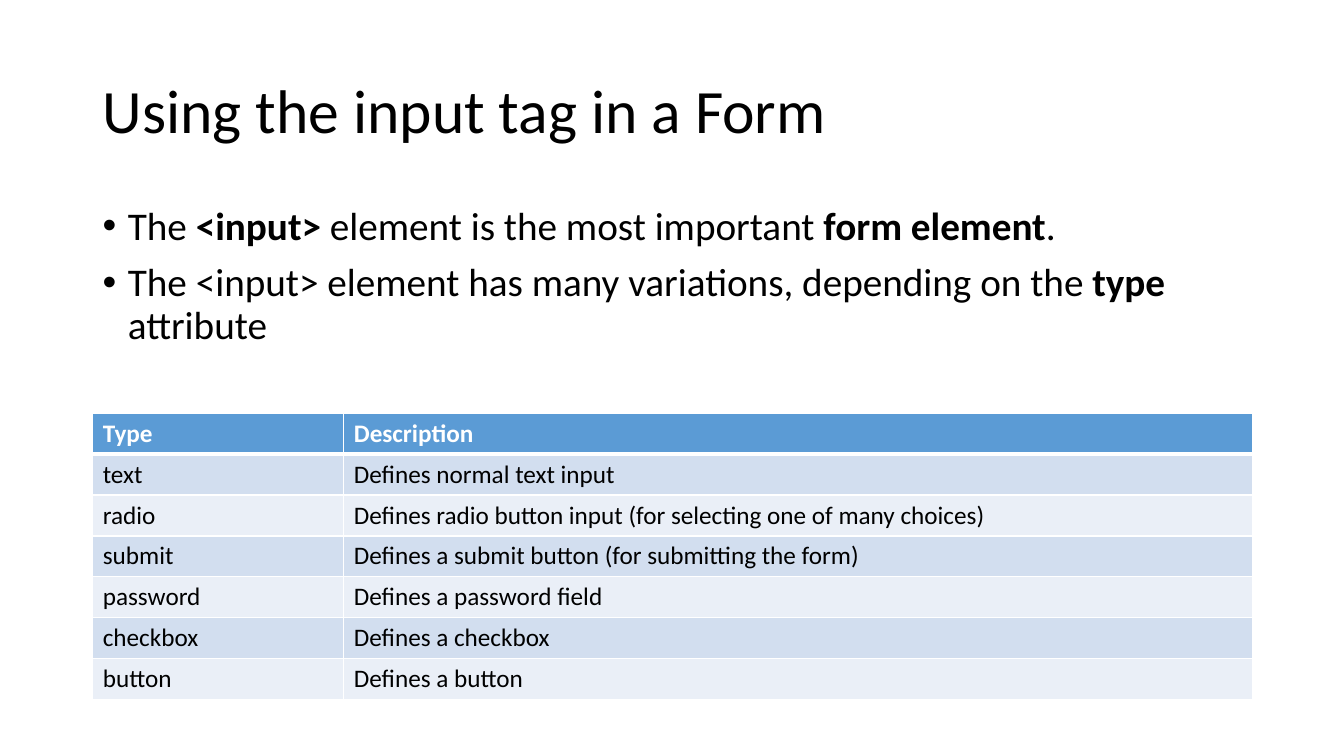
from lxml import etree
from pptx import Presentation
from pptx.dml.color import RGBColor
from pptx.enum import text
from pptx.oxml import ns
from pptx.util import Inches, Pt

COLORS = {
    "text": "000000",
    "white": "FFFFFF",
    "header": "5B9BD5",
    "odd_row": "D2DEEF",
    "even_row": "EAEFF7",
}
FONT = "Calibri"
LEFT, WIDTH = 0.92, 11.5
COLUMN_WIDTHS = (2.49, 9.01)
ROW_HEIGHT = 2.84 / 7

# Each bullet is a list of (words, bold) runs
BULLETS = [
    [("The ", False), ("<input>", True), (" element is the most important ", False),
     ("form element", True), (".", False)],
    [("The <input> element has many variations, depending on the ", False),
     ("type", True), (" attribute", False)],
]
INPUT_TYPES = [
    ("Type", "Description"),
    ("text", "Defines normal text input"),
    ("radio", "Defines radio button input (for selecting one of many choices)"),
    ("submit", "Defines a submit button (for submitting the form)"),
    ("password", "Defines a password field"),
    ("checkbox", "Defines a checkbox"),
    ("button", "Defines a button"),
]


def apply_format(target, values):
    for name, value in values.items():
        setattr(target, name, value)


def add_run(paragraph, words, size, color="text", bold=False):
    run = paragraph.add_run()
    run.text = words
    apply_format(run.font, {"name": FONT, "size": Pt(size), "bold": bold})
    run.font.color.rgb = RGBColor.from_string(COLORS[color])


def add_title(slide, words):
    title = slide.shapes.title
    apply_format(title, {"left": Inches(LEFT), "top": Inches(0.4),
                         "width": Inches(WIDTH), "height": Inches(1.45)})
    apply_format(title.text_frame, {"word_wrap": True,
                                    "auto_size": text.MSO_AUTO_SIZE.NONE,
                                    "vertical_anchor": text.MSO_ANCHOR.MIDDLE})
    paragraph = title.text_frame.paragraphs[0]
    apply_format(paragraph, {"alignment": text.PP_ALIGN.LEFT, "line_spacing": 0.9})
    add_run(paragraph, words, 44)


def set_bullet(paragraph):
    properties = paragraph._p.get_or_add_pPr()
    properties.set("marL", str(Inches(0.25)))
    properties.set("indent", str(Inches(-0.25)))
    etree.SubElement(properties, ns.qn("a:buFont"), typeface="Arial")
    etree.SubElement(properties, ns.qn("a:buChar"), char="•")


def add_bullets(slide, bullets):
    box = slide.shapes.add_textbox(Inches(LEFT), Inches(2), Inches(WIDTH), Inches(1.69))
    frame = box.text_frame
    frame.word_wrap = True
    for index, runs in enumerate(bullets):
        paragraph = frame.add_paragraph() if index else frame.paragraphs[0]
        apply_format(paragraph, {"line_spacing": 0.9, "space_before": Pt(10)})
        set_bullet(paragraph)
        for words, bold in runs:
            add_run(paragraph, words, 28, bold=bold)


def set_borders(cell, widths):
    properties = cell._tc.get_or_add_tcPr()
    for side, width in widths.items():
        line = etree.SubElement(properties, ns.qn(f"a:ln{side}"), w=str(Pt(width)))
        fill = etree.SubElement(line, ns.qn("a:solidFill"))
        etree.SubElement(fill, ns.qn("a:srgbClr"), val=COLORS["white"])


def add_type_table(slide, rows):
    table = slide.shapes.add_table(
        len(rows), len(COLUMN_WIDTHS), Inches(LEFT), Inches(4.1),
        Inches(WIDTH), Inches(ROW_HEIGHT * len(rows))).table
    for column, width in zip(table.columns, COLUMN_WIDTHS):
        column.width = Inches(width)
    for row_index, row in enumerate(rows):
        table.rows[row_index].height = Inches(ROW_HEIGHT)
        header = row_index == 0
        fill = "header" if header else "odd_row" if row_index % 2 else "even_row"
        for column_index, words in enumerate(row):
            cell = table.cell(row_index, column_index)
            # The rule under the header is thicker than the others
            set_borders(cell, {"L": 1, "R": 1, "T": 3 if row_index == 1 else 1,
                               "B": 3 if header else 1})
            cell.fill.solid()
            cell.fill.fore_color.rgb = RGBColor.from_string(COLORS[fill])
            add_run(cell.text_frame.paragraphs[0], words, 18,
                    "white" if header else "text", header)


def main():
    presentation = Presentation()
    presentation.slide_width = Inches(13.33)
    presentation.slide_height = Inches(7.5)
    slide = presentation.slides.add_slide(presentation.slide_layouts.get_by_name("Title Only"))
    add_title(slide, "Using the input tag in a Form")
    add_bullets(slide, BULLETS)
    add_type_table(slide, INPUT_TYPES)
    presentation.save("out.pptx")


if __name__ == "__main__":
    main()
